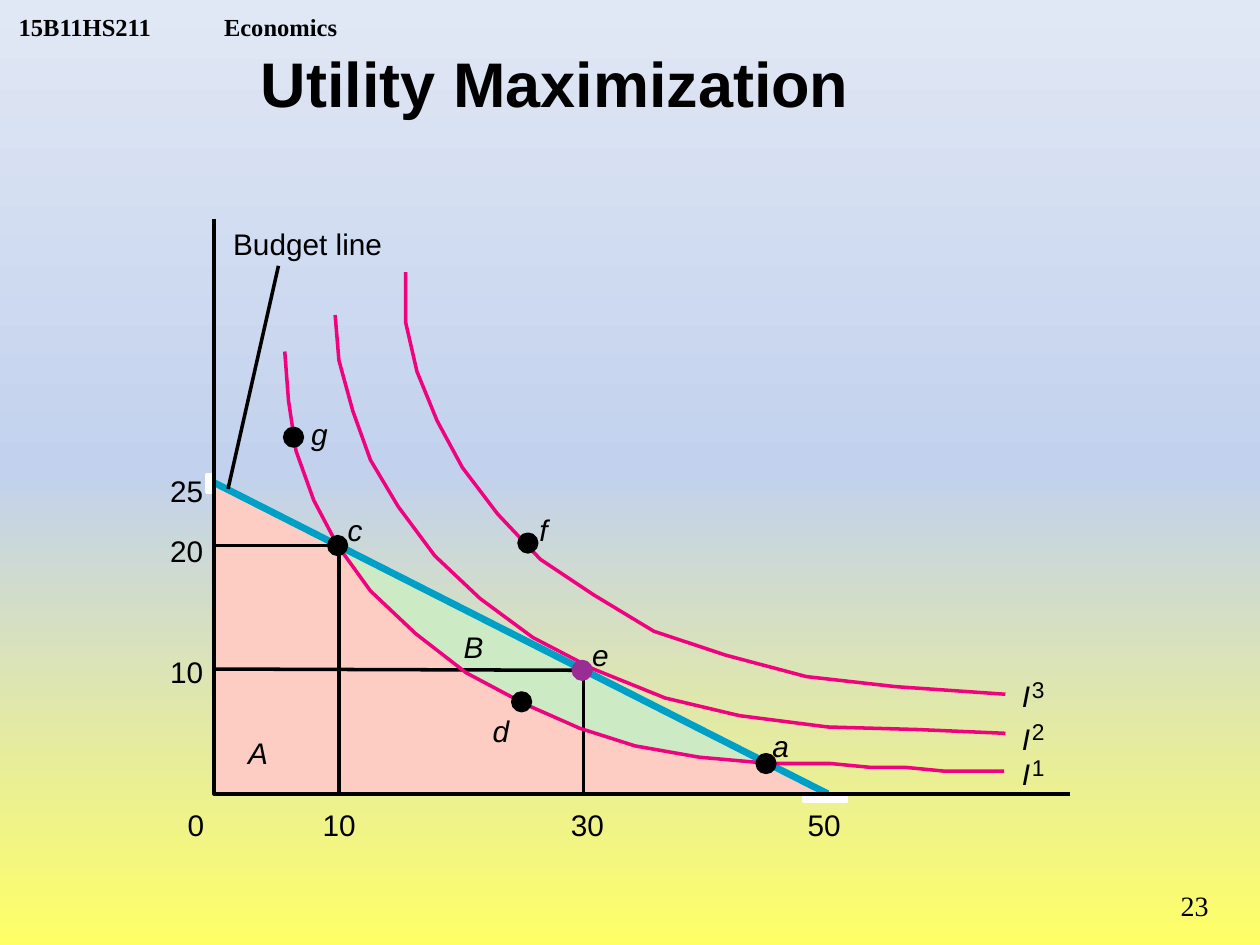
from copy import deepcopy
from typing import NamedTuple

from lxml.etree import SubElement
from pptx import Presentation
from pptx.dml.color import RGBColor
from pptx.enum.shapes import MSO_CONNECTOR as Connector, MSO_SHAPE as Preset
from pptx.enum.text import MSO_ANCHOR as Anchor, MSO_AUTO_SIZE as AutoSize, PP_ALIGN as Align
from pptx.oxml.ns import qn
from pptx.util import Inches, Pt

COLORS = {
    "ink": "000000", "white": "FFFFFF", "budget": "00A0C6", "curve": "F0027F",
    "area_a": "FDCDC3", "area_b": "CCEBC5", "optimum": "982E93",
    "bottom": "FFFF66", "middle": "C2D1ED", "top": "E1E8F5",
}
DOT = 0.14
TICK_TOP = 6.4
Points = list[tuple[float, float]]


class Label(NamedTuple):
    text: str
    left: float
    top: float
    width: float = 0.2
    italic: bool = False
    size: int = 17
    height: float = 0.23


class Segment(NamedTuple):
    start: tuple[float, float]
    end: tuple[float, float]
    color: str = "ink"
    weight: float = 2


class Dot(NamedTuple):
    left: float
    top: float
    label: Label
    color: str = "ink"


class Curve(NamedTuple):
    number: str
    label_top: float
    points: Points


AREA_A = [(1.7, 3.85), (1.7, 6.3), (6.52, 6.3)]
AREA_B = [
    (6.09, 6.07), (4.94, 5.48), (3.81, 4.92), (2.69, 4.33), (2.69, 4.36), (2.74, 4.44),
    (2.85, 4.58), (2.99, 4.75), (3.19, 4.95), (3.45, 5.17), (3.78, 5.4), (4.18, 5.6),
    (4.52, 5.77), (4.85, 5.88), (5.16, 5.93), (5.47, 5.99), (5.73, 6.05), (5.92, 6.05),
    (6.04, 6.07),
]
AXES = [(8.49, 6.3), (1.7, 6.3), (1.7, 1.74)]
CURVES = [
    Curve("1", 6, [
        (2.26, 2.79), (2.29, 3.18), (2.35, 3.58), (2.49, 3.97), (2.68, 4.33), (2.94, 4.69),
        (3.3, 5.03), (3.7, 5.34), (4.17, 5.59), (4.6, 5.78), (5.04, 5.92), (5.55, 6.01),
        (6.11, 6.06), (6.59, 6.06), (6.9, 6.09), (7.18, 6.09), (7.49, 6.12), (7.97, 6.12)]),
    Curve("2", 5.72, [
        (2.66, 2.5), (2.69, 2.86), (2.8, 3.26), (2.94, 3.65), (3.16, 4.02), (3.45, 4.41),
        (3.81, 4.75), (4.23, 5.06), (4.71, 5.31), (5.28, 5.54), (5.87, 5.68), (6.57, 5.77),
        (7.28, 5.79), (7.98, 5.82)]),
    Curve("3", 5.38, [
        (3.22, 2.16), (3.22, 2.56), (3.31, 2.95), (3.47, 3.34), (3.67, 3.71), (3.95, 4.08),
        (4.29, 4.44), (4.71, 4.72), (5.19, 5.01), (5.76, 5.2), (6.4, 5.37), (7.11, 5.45),
        (7.98, 5.51)]),
]
BUDGET_LINES = [Segment((1.64, 3.8), (6.57, 6.3), color, 4) for color in ("white", "budget")]
GUIDES = [
    Segment((1.7, 4.33), (2.63, 4.33)),
    Segment((2.69, 6.29), (2.69, 4.36)),
    Segment((1.71, 5.31), (4.6, 5.32)),
    Segment((4.63, 6.3), (4.63, 5.31)),
    Segment((2.21, 2.11), (1.81, 3.88)),
]
MASKS = [(1.64, 3.77, 0.06, 0.14), (6.38, 6.3, 0.34, 0.06)]
DOTS = [
    Dot(2.26, 3.4, Label("g", 2.47, 3.3, italic=True)),
    Dot(4.12, 4.24, Label("f", 4.28, 4.06, 0.11, True)),
    Dot(4.07, 5.5, Label("d", 3.91, 5.66, italic=True)),
    Dot(6.01, 5.99, Label("a", 6.13, 5.78, italic=True)),
    Dot(4.55, 5.25, Label("e", 4.7, 5.05, italic=True), "optimum"),
    Dot(2.61, 4.26, Label("c", 2.76, 4.06, 0.17, True)),
]
LABELS = [
    Label("Budget line", 1.85, 1.79, 1.19, height=0.28),
    *(Label(text, 1.35, top, 0.31) for text, top in (("10", 5.19), ("20", 4.23), ("25", 3.75))),
    *(Label(text, left, TICK_TOP, 0.31) for text, left in (("50", 6.41), ("30", 4.53), ("10", 2.56))),
    Label("0", 1.49, TICK_TOP),
    Label("A", 1.97, 5.83, 0.23, True),
    Label("B", 3.68, 4.99, 0.23, True),
]


def rgb(name: str) -> RGBColor:
    return RGBColor.from_string(COLORS[name])


def paint(shape, fill: str | None = None, line: str | None = None) -> None:
    shape.shadow.inherit = False
    for part, color in ((shape.fill, fill), (shape.line.fill, line)):
        if color:
            part.solid()
            part.fore_color.rgb = rgb(color)
        else:
            part.background()
    if line:
        shape.line.width = Pt(2)


def set_format(target, values: dict) -> None:
    for name, value in values.items():
        setattr(target, name, value)


def write(frame, text: str, font: dict, layout: dict, align=Align.LEFT, tab: float | None = None) -> None:
    set_format(frame, layout)
    paragraph = frame.paragraphs[0]
    paragraph.text = text
    paragraph.alignment = align
    if tab:
        stops = SubElement(paragraph._p.get_or_add_pPr(), qn("a:tabLst"))
        SubElement(stops, qn("a:tab"), pos=str(Inches(tab)), algn="l")
    set_format(paragraph.runs[0].font, font)
    for run in paragraph.runs:
        run.font.color.rgb = rgb("ink")


def add_label(shapes, label: Label) -> None:
    box = shapes.add_textbox(*map(Inches, (label.left, label.top, label.width, label.height)))
    margins = dict.fromkeys(("margin_left", "margin_top", "margin_right", "margin_bottom"), 0)
    write(box.text_frame, label.text,
          {"name": "Arial", "size": Pt(label.size), "italic": label.italic},
          {**margins, "word_wrap": False, "auto_size": AutoSize.SHAPE_TO_FIT_TEXT})


def add_outline(shapes, points: Points, fill: str | None = None, line: str | None = None) -> None:
    """Draw a closed area when a fill is given, otherwise an open line."""
    corners = [(Inches(x), Inches(y)) for x, y in points]
    builder = shapes.build_freeform(*corners[0])
    builder.add_line_segments(corners[1:], close=fill is not None)
    paint(builder.convert_to_shape(), fill, line)


def add_segment(shapes, segment: Segment) -> None:
    connector = shapes.add_connector(Connector.STRAIGHT, *map(Inches, segment.start + segment.end))
    connector.line.color.rgb = rgb(segment.color)
    connector.line.width = Pt(segment.weight)
    SubElement(connector._element.spPr, qn("a:effectLst"))


def add_preset(shapes, preset, bounds: tuple, color: str) -> None:
    paint(shapes.add_shape(preset, *map(Inches, bounds)), color, color)


def set_background(slide) -> None:
    fill = slide.background.fill
    fill.gradient()
    fill.gradient_angle = 90
    stop_list = slide.element.find(".//" + qn("a:gsLst"))
    stop_list.append(deepcopy(stop_list[0]))
    for stop, color, position in zip(fill.gradient_stops, ("bottom", "middle", "top"), (0, 0.5, 1)):
        stop.color.rgb = rgb(color)
        stop.position = position


def add_texts(slide) -> None:
    """Fill in the course header, the title and the page number."""
    times = {"name": "Times New Roman"}
    header = slide.shapes.add_textbox(*map(Inches, (0.05, 0, 3.2, 0.33)))
    write(header.text_frame, "15B11HS211\tEconomics", {**times, "size": Pt(14), "bold": True},
          {"margin_top": 0, "margin_bottom": 0, "vertical_anchor": Anchor.BOTTOM, "word_wrap": True},
          tab=1.63)
    title = slide.shapes.title
    title.left, title.top, title.width, title.height = map(Inches, (1.97, 0.3, 4.87, 0.7))
    write(title.text_frame, "Utility Maximization", {"name": "Arial", "size": Pt(36), "bold": True},
          {"word_wrap": False, "auto_size": AutoSize.SHAPE_TO_FIT_TEXT, "vertical_anchor": Anchor.TOP})
    page = slide.shapes.add_textbox(*map(Inches, (8.92, 7, 0.77, 0.4)))
    write(page.text_frame, "23", {**times, "size": Pt(16)}, {"word_wrap": True}, Align.RIGHT)


def add_diagram(shapes) -> None:
    add_outline(shapes, AREA_A, fill="area_a")
    add_outline(shapes, AREA_B, fill="area_b")
    for segment in BUDGET_LINES + GUIDES:
        add_segment(shapes, segment)
    for curve in CURVES:
        add_outline(shapes, curve.points, line="curve")
        add_label(shapes, Label("I", 8.11, curve.label_top, 0.17, True))
        add_label(shapes, Label(curve.number, 8.19, curve.label_top - 0.02, 0.14, size=13, height=0.17))
    for bounds in MASKS:
        add_preset(shapes, Preset.RECTANGLE, bounds, "white")
    add_outline(shapes, AXES, line="ink")
    for label in LABELS:
        add_label(shapes, label)
    for dot in DOTS:
        add_preset(shapes, Preset.OVAL, (dot.left, dot.top, DOT, DOT), dot.color)
        add_label(shapes, dot.label)


def main() -> None:
    deck = Presentation()
    deck.slide_width, deck.slide_height = Inches(10), Inches(7.5)
    slide = deck.slides.add_slide(deck.slide_layouts[5])
    set_background(slide)
    add_texts(slide)
    add_diagram(slide.shapes)
    deck.save("out.pptx")


if __name__ == "__main__":
    main()
